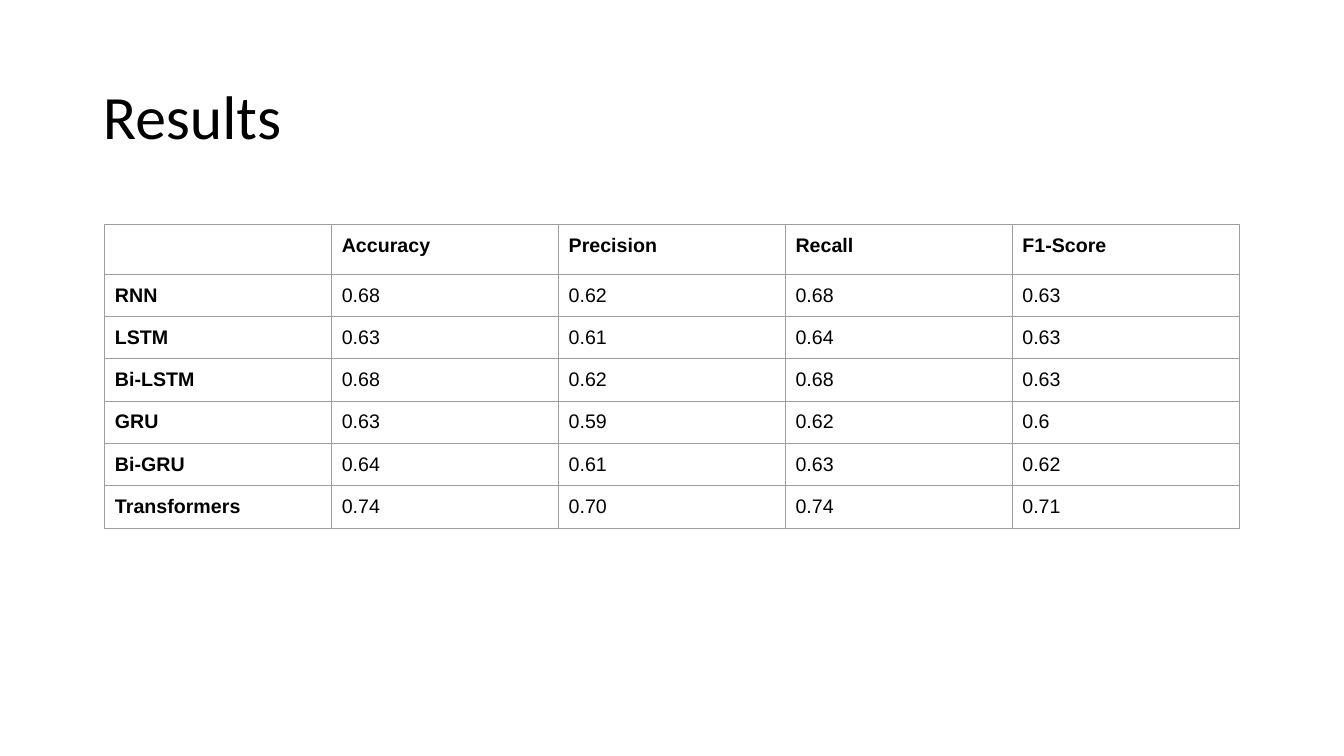
"""Build a slide that compares the results of six sequence models."""
from dataclasses import dataclass

from lxml import etree
from pptx import Presentation
from pptx import util as u
from pptx.dml.color import RGBColor
from pptx.enum import text
from pptx.oxml import ns

PX = u.Inches(1) // 100
METRICS = ["", "Accuracy", "Precision", "Recall", "F1-Score"]
SCORES = [
    ["RNN", "0.68", "0.62", "0.68", "0.63"],
    ["LSTM", "0.63", "0.61", "0.64", "0.63"],
    ["Bi-LSTM", "0.68", "0.62", "0.68", "0.63"],
    ["GRU", "0.63", "0.59", "0.62", "0.6"],
    ["Bi-GRU", "0.64", "0.61", "0.63", "0.62"],
    ["Transformers", "0.74", "0.70", "0.74", "0.71"],
]


@dataclass(frozen=True)
class Theme:
    """Hold the colours, fonts and sizes of the slide."""
    ink: str = "000000"
    rule: str = "9E9E9E"
    rule_width: float = 0.75
    title_font: str = "Calibri"
    title_size: int = 44
    table_font: str = "Arial"
    table_size: int = 14


THEME = Theme()


def apply(target, values):
    """Set every attribute in values on the target."""
    for name, value in values.items():
        setattr(target, name, value)


def format_font(font, name, size, bold=False):
    """Give a font its face, size, weight and ink colour."""
    apply(font, {"name": name, "size": u.Pt(size), "bold": bold})
    font.color.rgb = RGBColor.from_string(THEME.ink)


def add_title(slide, words, left, top, width, height):
    """Place and format the title placeholder."""
    title = slide.shapes.title
    apply(title, {"left": left * PX, "top": top * PX,
                  "width": width * PX, "height": height * PX})
    frame = title.text_frame
    frame.text = words
    apply(frame, {"vertical_anchor": text.MSO_ANCHOR.MIDDLE,
                  "auto_size": text.MSO_AUTO_SIZE.NONE, "word_wrap": True})
    paragraph = frame.paragraphs[0]
    apply(paragraph, {"alignment": text.PP_ALIGN.LEFT, "line_spacing": 0.9})
    format_font(paragraph.runs[0].font, THEME.title_font, THEME.title_size)


def add_borders(cell):
    """Draw a thin line on all four sides of a cell."""
    properties = cell._tc.get_or_add_tcPr()
    for side in ("a:lnL", "a:lnR", "a:lnT", "a:lnB"):
        line = etree.SubElement(properties, ns.qn(side),
                                w=str(u.Pt(THEME.rule_width)))
        fill = etree.SubElement(line, ns.qn("a:solidFill"))
        etree.SubElement(fill, ns.qn("a:srgbClr"), val=THEME.rule)


def fill_cell(cell, words, bold):
    """Format a cell and write its words, if it has any."""
    add_borders(cell)
    cell.fill.background()
    if words:
        inset = u.Inches(0.1)
        apply(cell, {"margin_left": inset, "margin_right": inset,
                     "margin_top": inset, "margin_bottom": inset})
        cell.text = words
        font = cell.text_frame.paragraphs[0].runs[0].font
        format_font(font, THEME.table_font, THEME.table_size, bold)


def add_score_table(slide, rows, left, top, column_width, header_height, row_height):
    """Add a ruled table with a bold first row and first column."""
    columns = len(rows[0])
    height = header_height + row_height * (len(rows) - 1)
    table = slide.shapes.add_table(len(rows), columns, left * PX, top * PX,
                                   columns * column_width * PX, height * PX).table
    apply(table, {"first_row": False, "horz_banding": False})
    for column in table.columns:
        column.width = column_width * PX
    for row_index, row in enumerate(rows):
        table.rows[row_index].height = (row_height if row_index else header_height) * PX
        for column_index, words in enumerate(row):
            bold = row_index == 0 or column_index == 0
            fill_cell(table.cell(row_index, column_index), words, bold)


def main():
    """Build and save the presentation."""
    presentation = Presentation()
    apply(presentation, {"slide_width": 1333 * PX, "slide_height": 750 * PX})
    slide = presentation.slides.add_slide(presentation.slide_layouts[5])
    add_title(slide, "Results", 92, 46, 1150, 145)
    add_score_table(slide, [METRICS] + SCORES, 104, 223, 225, 49, 42)
    presentation.save("out.pptx")


if __name__ == "__main__":
    main()
